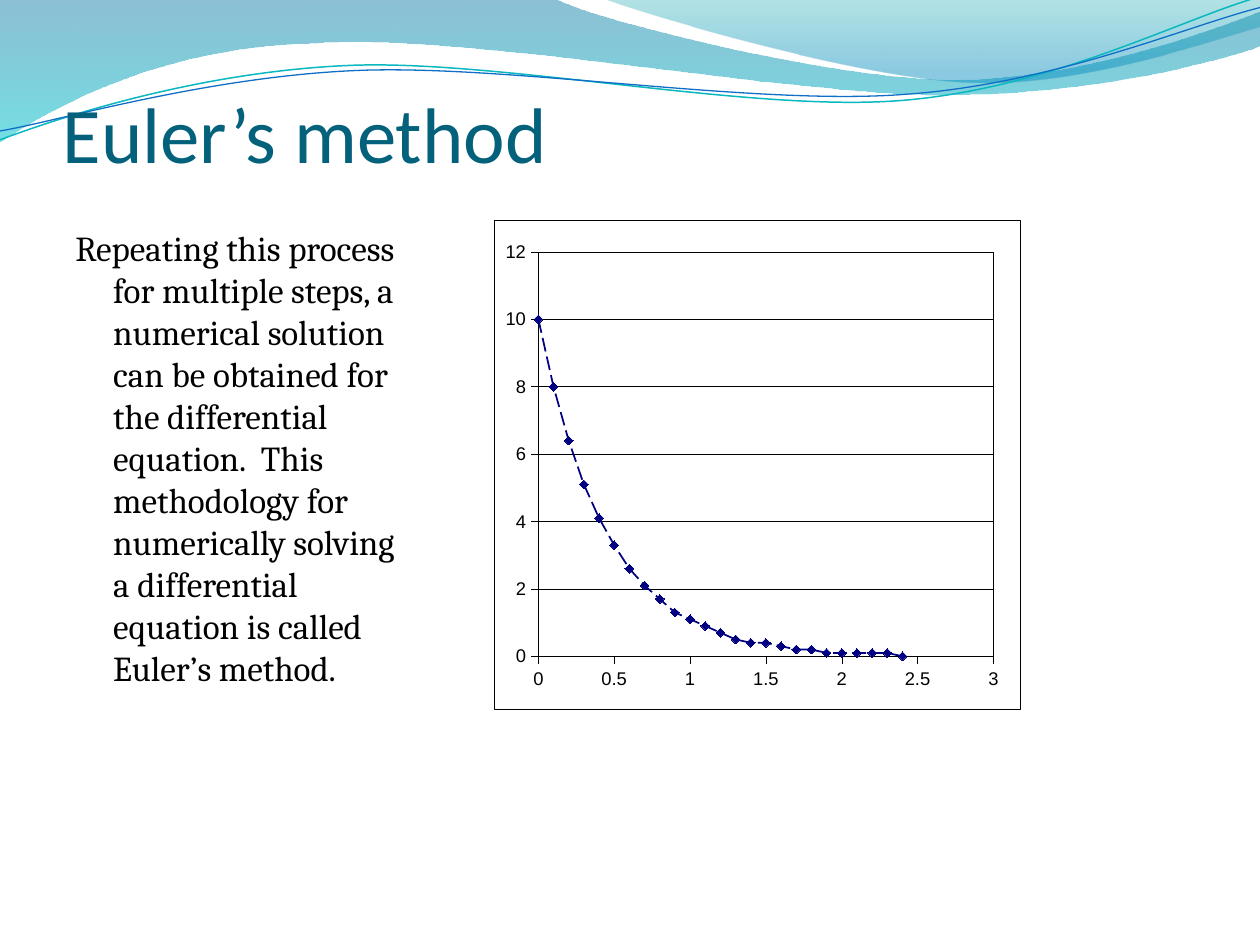
from dataclasses import dataclass
from typing import Optional

from lxml import etree
from pptx import Presentation
from pptx.chart import data as chart_data
from pptx.dml import color
from pptx.enum import chart as chart_enum, dml, text
from pptx.oxml import ns, parse_xml
from pptx.util import Inches, Pt

Point = tuple[float, float]


@dataclass
class Wave:
    """An outline: a 2-tuple is a straight step, a 6-tuple a cubic curve."""
    start: Point
    steps: list[tuple[float, ...]]
    stops: tuple[tuple[int, str, int], ...] = ()  # position %, colour, opacity %
    line: Optional[tuple[str, float]] = None


@dataclass
class TextBlock:
    box: tuple[float, float, float, float]
    words: str
    hue: str
    font: dict
    frame: dict
    indent: float = 0


WAVES = [
    # Left and right bands
    Wave((0, 0), [
        (4.4, -0.01), (4.76, 0.17, 6.64, 0.63, 7.58, 0.63),
        (8.53, 0.63, 9.58, 0.26, 10, 0.09), (10.01, 0.36),
        (9.83, 0.44, 8.7, 0.76, 7.46, 0.75), (6.22, 0.75, 3.82, 0.28, 2.57, 0.34),
        (1.29, 0.36, 0.46, 0.83, -0.01, 1.13)],
        stops=((0, "0074A1", 45), (100, "00C6CF", 55))),
    Wave((4.79, -0.01), [
        (5.09, 0.11, 6.82, 0.62, 7.69, 0.65), (8.56, 0.69, 9.61, 0.32, 10, 0.21),
        (10, 0)],
        stops=((0, "00A1A9", 30), (80, "008BBF", 45))),
    # Thin lines
    Wave((0, 1.11), [
        (0.48, 0.93, 1.58, 0.57, 2.77, 0.52), (3.95, 0.47, 5.93, 0.89, 7.13, 0.8),
        (8.33, 0.71, 9.38, 0.15, 9.98, -0.02)],
        line=("0AB8BF", 0.85)),
    Wave((0, 1.04), [
        (0.47, 0.96, 1.64, 0.61, 2.83, 0.56), (4.03, 0.51, 5.97, 0.84, 7.17, 0.75),
        (8.36, 0.67, 9.41, 0.21, 10, 0.06)],
        line=("0F6FC6", 0.75)),
]


def rgb(value: str) -> color.RGBColor:
    return color.RGBColor.from_string(value)


def set_all(target, values: dict) -> None:
    for name, value in values.items():
        setattr(target, name, value)


def set_line(line, hex_color: str, width: float) -> None:
    line.color.rgb = rgb(hex_color)
    line.width = Pt(width)


def bend(outline, steps: list[tuple[float, ...]]) -> None:
    """Join the three straight segments of each curved step into one cubic."""
    segments = iter(list(outline.iter(ns.qn("a:lnTo"))))
    for step in steps:
        parts = [next(segments) for _ in range(len(step) // 2)]
        if len(parts) == 3:
            curve = etree.Element(ns.qn("a:cubicBezTo"))
            parts[0].addprevious(curve)
            for part in parts:
                curve.append(part[0])
                part.getparent().remove(part)


def draw_wave(slide, wave: Wave) -> None:
    points = [(Inches(x), Inches(y)) for step in wave.steps
              for x, y in zip(step[::2], step[1::2])]
    builder = slide.shapes.build_freeform(*map(Inches, wave.start))
    builder.add_line_segments(points, close=bool(wave.stops))
    band = builder.convert_to_shape()
    band.shadow.inherit = False
    geometry = band.element.spPr.find(ns.qn("a:custGeom"))
    bend(geometry, wave.steps)
    if wave.line:
        band.fill.background()
        set_line(band.line, *wave.line)
        return
    band.line.fill.background()
    stops = "".join(
        f'<a:gs pos="{pos * 1000}"><a:srgbClr val="{hue}">'
        f'<a:alpha val="{alpha * 1000}"/></a:srgbClr></a:gs>'
        for pos, hue, alpha in wave.stops)
    geometry.addnext(parse_xml(
        f'<a:gradFill {ns.nsdecls("a")} rotWithShape="1"><a:gsLst>{stops}</a:gsLst>'
        '<a:lin ang="5400000" scaled="1"/></a:gradFill>'))


def draw_text(slide, block: TextBlock) -> None:
    frame = slide.shapes.add_textbox(*map(Inches, block.box)).text_frame
    set_all(frame, {"word_wrap": True, **block.frame})
    paragraph = frame.paragraphs[0]
    if block.indent:
        props = paragraph._p.get_or_add_pPr()
        props.set("marL", str(Inches(block.indent)))
        props.set("indent", str(-Inches(block.indent)))
    run = paragraph.add_run()
    run.text = block.words
    set_all(run.font, block.font)
    run.font.color.rgb = rgb(block.hue)


def area_format(fill: str):
    return parse_xml(
        f'<c:spPr {ns.nsdecls("c", "a")}>{fill}<a:ln w="3175"><a:solidFill>'
        '<a:srgbClr val="000000"/></a:solidFill></a:ln></c:spPr>')


def draw_solution(slide) -> None:
    # Each Euler step of 0.1 keeps 80 % of the previous value
    data = chart_data.XyChartData()
    solution = data.add_series("Series 1")
    for n in range(25):
        solution.add_data_point(round(n * 0.1, 1), round(10 * 0.8 ** n, 1))
    chart = slide.shapes.add_chart(
        chart_enum.XL_CHART_TYPE.XY_SCATTER_LINES, Inches(3.92), Inches(1.75),
        Inches(4.18), Inches(3.88), data).chart
    set_all(chart, {"has_legend": False, "has_title": False})
    set_all(chart.font, {"name": "Arial", "size": Pt(10.5)})
    chart.font.color.rgb = rgb("000000")

    # Axes
    for axis, top, step in ((chart.category_axis, 3, 0.5), (chart.value_axis, 12, 2)):
        set_all(axis, {
            "minimum_scale": 0, "maximum_scale": top, "major_unit": step,
            "major_tick_mark": chart_enum.XL_TICK_MARK.OUTSIDE,
            "minor_tick_mark": chart_enum.XL_TICK_MARK.NONE,
            "has_major_gridlines": top == 12})
        set_all(axis.tick_labels, {"number_format": "General",
                                   "number_format_is_linked": False})
        set_line(axis.format.line, "000000", 0.25)
    set_line(chart.value_axis.major_gridlines.format.line, "000000", 0.25)

    # Curve and markers
    plot = chart.plots[0]
    plot.vary_by_categories = False
    curve = plot.series[0]
    curve.smooth = False
    set_line(curve.format.line, "000080", 1)
    curve.format.line.dash_style = dml.MSO_LINE.LONG_DASH
    set_all(curve.marker, {"style": chart_enum.XL_MARKER_STYLE.DIAMOND, "size": 5})
    curve.marker.format.fill.solid()
    curve.marker.format.fill.fore_color.rgb = rgb("000080")
    set_line(curve.marker.format.line, "000080", 0.75)

    # Plot position and frames
    body = chart.element.find(ns.qn("c:chart"))
    body.addnext(area_format(
        '<a:solidFill><a:srgbClr val="FFFFFF"/></a:solidFill>'))
    area = body.find(ns.qn("c:plotArea"))
    for old in area.findall(ns.qn("c:layout")):
        area.remove(old)
    layout = etree.Element(ns.qn("c:layout"))
    manual = etree.SubElement(layout, ns.qn("c:manualLayout"))
    for tag, value in (("layoutTarget", "inner"), ("xMode", "edge"), ("yMode", "edge"),
                       ("x", 0.084), ("y", 0.064), ("w", 0.865), ("h", 0.828)):
        etree.SubElement(manual, ns.qn(f"c:{tag}")).set("val", str(value))
    area.insert(0, layout)
    area.append(area_format("<a:noFill/>"))


def main() -> None:
    deck = Presentation()
    set_all(deck, {"slide_width": Inches(10), "slide_height": Inches(7.5)})
    slide = deck.slides.add_slide(deck.slide_layouts[6])

    for wave in WAVES:
        draw_wave(slide, wave)

    draw_text(slide, TextBlock(
        (0.5, 0.77, 9, 0.65), "Euler’s method", "04617B",
        {"name": "Calibri", "size": Pt(45)},
        {"vertical_anchor": text.MSO_ANCHOR.BOTTOM, "margin_left": 0,
         "margin_right": 0, "margin_bottom": 0}))
    draw_text(slide, TextBlock(
        (0.5, 1.75, 2.92, 4.95),
        "Repeating this process for multiple steps, a numerical solution can be "
        "obtained for the differential equation.  This methodology for numerically "
        "solving a differential equation is called Euler’s method.", "000000",
        {"name": "Cambria", "size": Pt(20)}, {}, indent=0.3))
    draw_solution(slide)

    deck.save("out.pptx")


if __name__ == "__main__":
    main()
